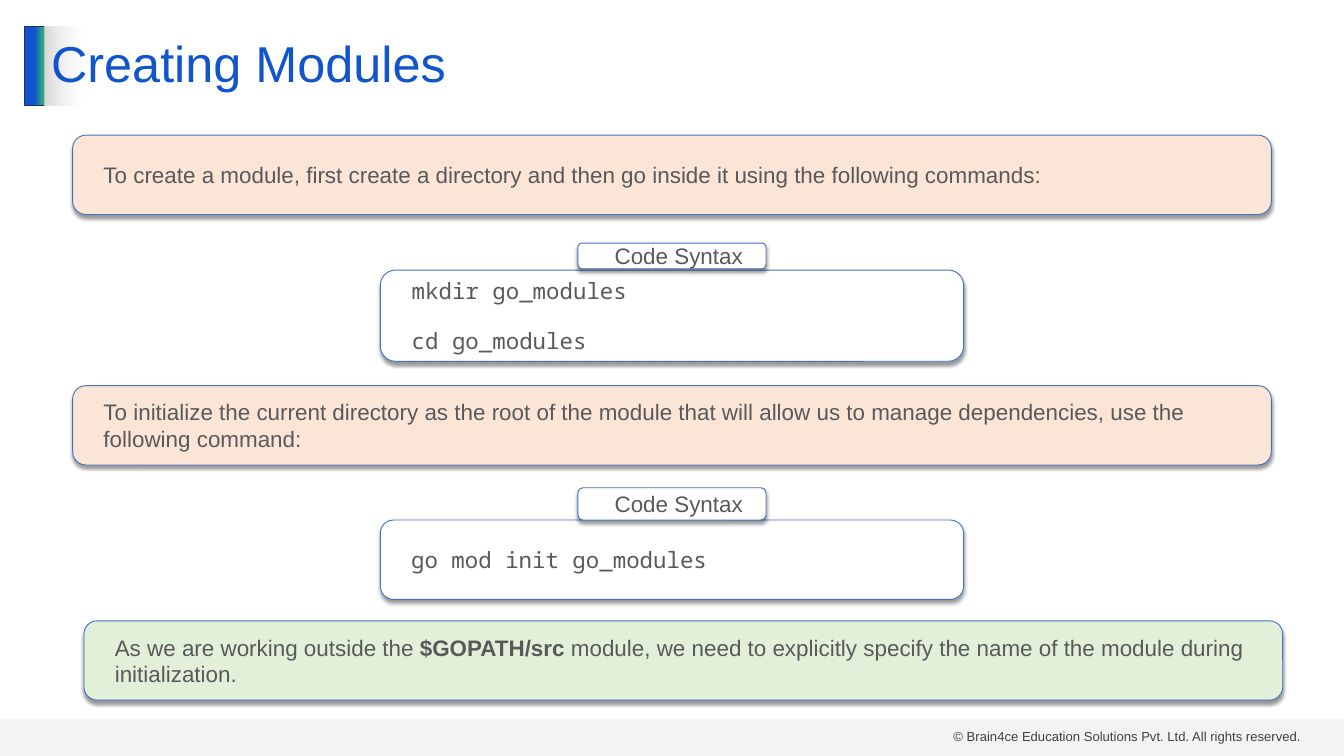
from lxml.etree import SubElement
from pptx import Presentation
from pptx.dml.color import RGBColor
from pptx.enum.shapes import MSO_SHAPE as SHAPE
from pptx.enum.text import MSO_ANCHOR as ANCHOR, PP_ALIGN as ALIGN
from pptx.oxml.ns import qn
from pptx.util import Cm, Pt

SLIDE_W, SLIDE_H = 50.8, 28.58
SANS, MONO = "Arial", "Noto Sans Mono"
BLUE, GREY, OUTLINE = "1155CC", "595959", "4472C4"
PEACH, GREEN, WHITE = "FBE5D6", "E2F0D9", "FFFFFF"
BANNER_W, CODE_W, LABEL_W = 45.31, 22.05, 7.11
INSET = 0.51

TITLE = "Creating Modules"
COPYRIGHT = "© Brain4ce Education Solutions Pvt. Ltd. All rights reserved."

# (top, width, height, shift from centre, fill, font, alignment, paragraphs of (text, bold))
BOXES = [
    (5.11, BANNER_W, 3, 0, PEACH, SANS, ALIGN.LEFT,
     [[("To create a module, first create a directory and then go inside it "
        "using the following commands:", False)]]),
    (10.21, CODE_W, 3.45, 0, WHITE, MONO, ALIGN.LEFT,
     [[("mkdir go_modules", False)], [("cd go_modules", False)]]),
    (9.19, LABEL_W, 0.97, 0, WHITE, SANS, ALIGN.CENTER, [[("Code Syntax", False)]]),
    (14.58, BANNER_W, 3, 0, PEACH, SANS, ALIGN.LEFT,
     [[("To initialize the current directory as the root of the module that will "
        "allow us to manage dependencies, use the following command:", False)]]),
    (19.66, CODE_W, 3, 0, WHITE, MONO, ALIGN.LEFT,
     [[("go mod init go_modules", False)]]),
    (18.44, LABEL_W, 1.22, 0, WHITE, SANS, ALIGN.CENTER, [[("Code Syntax", False)]]),
    (23.47, BANNER_W, 3, 0.43, GREEN, SANS, ALIGN.LEFT,
     [[("As we are working outside the ", False), ("$GOPATH/src ", True),
       ("module, we need to explicitly specify the name of the module during "
        "initialization.", False)]]),
]


def rgb(value):
    return RGBColor.from_string(value)


def add_color(parent, value, alpha=100):
    color = SubElement(parent, qn("a:srgbClr"), val=value)
    if alpha < 100:
        SubElement(color, qn("a:alpha"), val=str(alpha * 1000))


def add_block(slide, kind, left, top, width, height, fill=None, line=None):
    sp = slide.shapes.add_shape(kind, Cm(left), Cm(top), Cm(width), Cm(height))
    sp.shadow.inherit = False
    if fill:
        sp.fill.solid()
        sp.fill.fore_color.rgb = rgb(fill)
    if line:
        sp.line.color.rgb = rgb(line)
        sp.line.width = Pt(1)
    else:
        sp.line.fill.background()
    return sp


def set_gradient(sp, stops):
    """Fill from left to right with (position, colour, opacity) stops."""
    sp.fill.gradient()
    sp.fill.gradient_angle = 0
    stop_list = sp._element.spPr.find(qn("a:gradFill")).find(qn("a:gsLst"))
    for old in list(stop_list):
        stop_list.remove(old)
    for position, value, alpha in stops:
        stop = SubElement(stop_list, qn("a:gs"), pos=str(position * 1000))
        add_color(stop, value, alpha)


def add_shadow(sp):
    effects = sp._element.spPr.find(qn("a:effectLst"))
    shadow = SubElement(effects, qn("a:outerShdw"), blurRad=str(Pt(4)),
                        dist=str(Pt(3)), dir="5400000", rotWithShape="0")
    add_color(shadow, "000000", 40)


def add_run(p, text, font, size, color, bold=False):
    r = p.add_run()
    r.text = text
    r.font.name, r.font.size, r.font.bold = font, Pt(size), bold
    r.font.color.rgb = rgb(color)


def add_box(slide, top, width, height, shift, fill, font, align, paragraphs):
    left = (SLIDE_W - width) / 2 + shift
    sp = add_block(slide, SHAPE.ROUNDED_RECTANGLE, left, top, width, height, fill, OUTLINE)
    add_shadow(sp)
    tf = sp.text_frame
    tf.word_wrap = True
    tf.vertical_anchor = ANCHOR.MIDDLE
    tf.margin_left = tf.margin_right = Cm(INSET)
    tf.margin_top = tf.margin_bottom = Cm(INSET / 2)
    for i, runs in enumerate(paragraphs):
        p = tf.add_paragraph() if i else tf.paragraphs[0]
        p.alignment = align
        p._p.get_or_add_pPr().set("marL", str(Cm(INSET)))
        if i:
            p.space_before = Pt(24)
        for text, bold in runs:
            add_run(p, text, font, 24, GREY, bold)


def add_footer(slide):
    band = add_block(slide, SHAPE.RECTANGLE, 0, 27.18, SLIDE_W, 1.4, "D9D9D9")
    add_color_to = band._element.spPr.find(qn("a:solidFill")).find(qn("a:srgbClr"))
    SubElement(add_color_to, qn("a:alpha"), val="29000")
    tf = slide.shapes.add_textbox(Cm(35.79), Cm(27.43), Cm(13.74), Cm(0.86)).text_frame
    tf.word_wrap = True
    add_run(tf.paragraphs[0], COPYRIGHT, SANS, 14, "404040")


def add_title(slide):
    accent = add_block(slide, SHAPE.RECTANGLE, 0.94, 0.99, 0.76, 3, line="1E3256")
    set_gradient(accent, [(51, BLUE, 100), (90, "2EA87D", 100), (100, "2EA87D", 100)])
    sp = add_block(slide, SHAPE.RECTANGLE, 1.68, 0.99, 47.42, 3)
    set_gradient(sp, [(0, "D9D9D9", 100), (3, WHITE, 50), (100, WHITE, 50)])
    tf = sp.text_frame
    tf.word_wrap = True
    tf.vertical_anchor = ANCHOR.MIDDLE
    p = tf.paragraphs[0]
    p.alignment = ALIGN.LEFT
    p.line_spacing = 0.9
    add_run(p, TITLE, SANS, 54, BLUE)


def main():
    prs = Presentation()
    prs.slide_width, prs.slide_height = Cm(SLIDE_W), Cm(SLIDE_H)
    slide = prs.slides.add_slide(prs.slide_layouts[6])
    add_footer(slide)
    add_title(slide)
    for box in BOXES:
        add_box(slide, *box)
    prs.save("out.pptx")


if __name__ == "__main__":
    main()
